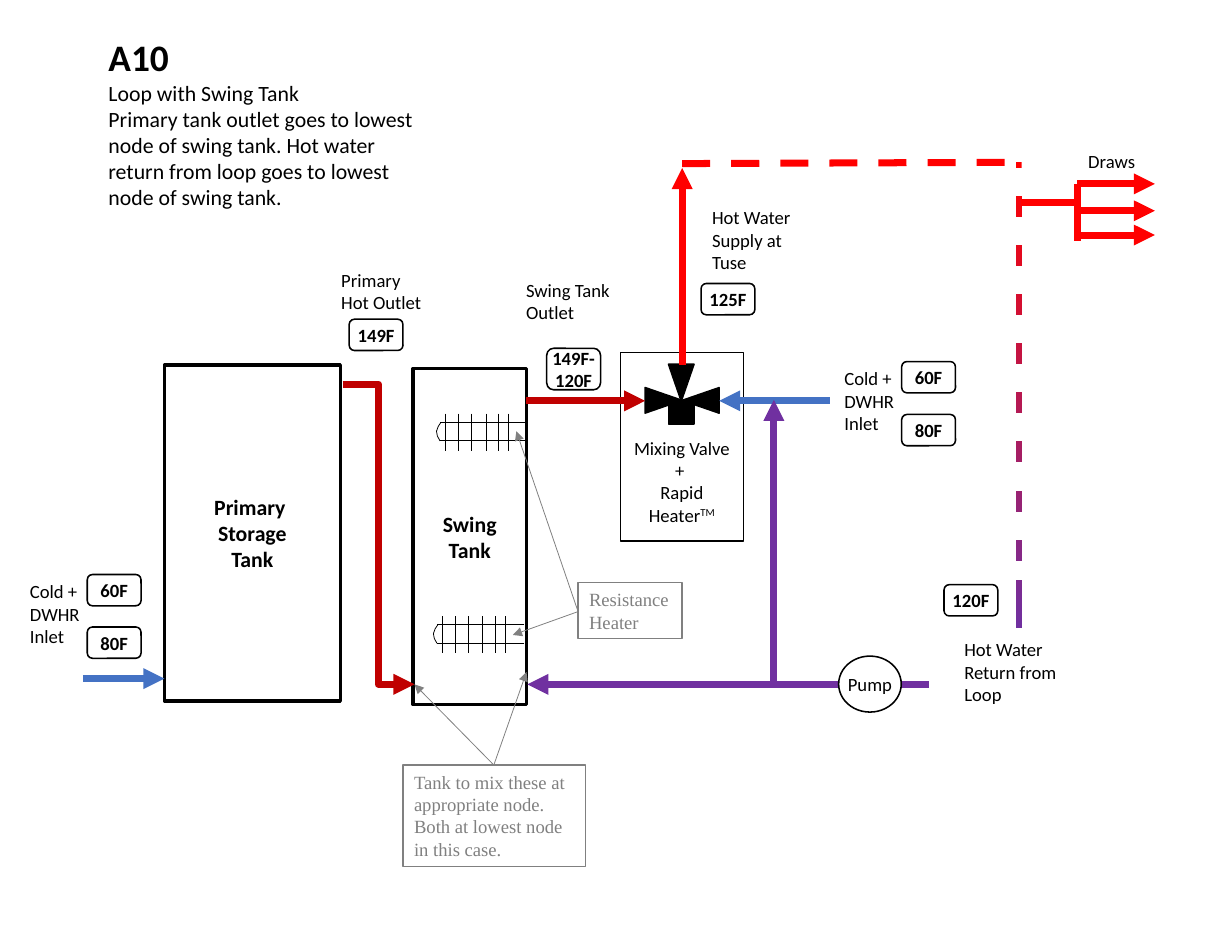
from lxml import etree
from pptx import Presentation
from pptx.dml.color import RGBColor
from pptx.enum.dml import MSO_LINE
from pptx.enum.shapes import MSO_CONNECTOR as LINK, MSO_SHAPE as SHAPE
from pptx.enum.text import MSO_ANCHOR as ANCHOR, MSO_AUTO_SIZE as AUTO, PP_ALIGN as ALIGN
from pptx.oxml.ns import qn
from pptx.util import Cm, Pt

BLACK = RGBColor(0x00, 0x00, 0x00)
WHITE = RGBColor(0xFF, 0xFF, 0xFF)
GRAY = RGBColor(0x80, 0x80, 0x80)
RED = RGBColor(0xFF, 0x00, 0x00)
DARK_RED = RGBColor(0xC0, 0x00, 0x00)
BLUE = RGBColor(0x44, 0x72, 0xC4)
PURPLE = RGBColor(0x70, 0x30, 0xA0)

presentation = Presentation()
presentation.slide_width, presentation.slide_height = Cm(27.94), Cm(21.59)
slide = presentation.slides.add_slide(presentation.slide_layouts[6])


def add_box(preset, box, lines=(), fill=None, line=BLACK, width=1, size=12, bold=False,
            font="Calibri", color=BLACK, center=True, inset=None):
    """Add a shape, or a text box when preset is None, with one paragraph per line."""
    lengths = [Cm(value) for value in box]
    if preset is None:
        shape = slide.shapes.add_textbox(*lengths)
    else:
        shape = slide.shapes.add_shape(preset, *lengths)
        shape.shadow.inherit = False
        if fill is None:
            shape.fill.background()
        else:
            shape.fill.solid()
            shape.fill.fore_color.rgb = fill
        if line is None:
            shape.line.fill.background()
        else:
            shape.line.color.rgb = line
            shape.line.width = Pt(width)
    frame = shape.text_frame
    frame.word_wrap = True
    frame.vertical_anchor = ANCHOR.MIDDLE if center else ANCHOR.TOP
    if not center:
        frame.auto_size = AUTO.SHAPE_TO_FIT_TEXT
    if inset is not None:
        frame.margin_left = frame.margin_right = Cm(inset)
        frame.margin_top = frame.margin_bottom = Cm(inset)
    for index, text in enumerate(lines):
        paragraph = frame.add_paragraph() if index else frame.paragraphs[0]
        paragraph.alignment = ALIGN.CENTER if center else ALIGN.LEFT
        run = paragraph.add_run()
        run.text = text
        run.font.name, run.font.size, run.font.bold = font, Pt(size), bold
        run.font.color.rgb = color
    return shape


def add_line(start, end, color, width=4.5, arrow=True, dash=False, kind=LINK.STRAIGHT):
    """Add a connector, with an arrowhead at its end by default."""
    connector = slide.shapes.add_connector(kind, *[Cm(value) for value in (*start, *end)])
    connector.line.color.rgb = color
    connector.line.width = Pt(width)
    if dash:
        connector.line.dash_style = MSO_LINE.DASH
    properties = connector.element.spPr
    if arrow:
        etree.SubElement(properties.find(qn("a:ln")), qn("a:tailEnd"), type="triangle")
    etree.SubElement(properties, qn("a:effectLst"))


# Tanks
add_box(SHAPE.RECTANGLE, (9.37, 8.36, 2.57, 7.62), ["Swing", "Tank"],
        fill=WHITE, width=2.25, size=14, bold=True)
add_box(SHAPE.RECTANGLE, (3.73, 8.28, 3.99, 7.62), ["Primary ", "Storage", "Tank"],
        fill=WHITE, width=2.25, size=14, bold=True)

# Mixing valve
for preset, left, top, height, rotation in (
    (SHAPE.ISOSCELES_TRIANGLE, 15.16, 8.26, 0.84, 180),
    (SHAPE.ISOSCELES_TRIANGLE, 15.6, 8.66, 0.84, 270),
    (SHAPE.ISOSCELES_TRIANGLE, 14.76, 8.66, 0.84, 90),
    (SHAPE.RECTANGLE, 15.16, 9.09, 0.53, 0),
):
    valve_part = add_box(preset, (left, top, 0.58, height), fill=BLACK)
    valve_part.rotation = rotation
mixing_box = add_box(SHAPE.RECTANGLE, (14.07, 8, 2.79, 4.27), ["Mixing Valve + ", "Rapid Heater"])
mixing_box.text_frame.margin_top = Cm(1.68)
trademark = mixing_box.text_frame.paragraphs[1].add_run()
trademark.text = "TM"
trademark.font.name, trademark.font.size = "Calibri", Pt(12)
trademark.font.color.rgb = BLACK
trademark.font._element.set("baseline", "30000")

# Pipes with flow direction
for start, end, color in (
    ((1.88, 15.39), (3.73, 15.39), BLUE),
    ((11.94, 9.09), (14.63, 9.09), DARK_RED),
    ((18.82, 9.09), (16.31, 9.09), BLUE),
    ((15.47, 8.28), (15.47, 3.81), RED),
    ((21.06, 15.52), (11.96, 15.52), PURPLE),
    ((17.55, 15.52), (17.55, 9.07), PURPLE),
):
    add_line(start, end, color)
add_line((7.77, 8.71), (9.4, 15.52), DARK_RED, kind=LINK.ELBOW)

# Distribution loop, cooling from red to purple
add_line((15.47, 3.71), (23.09, 3.68), RED, arrow=False, dash=True)
loop = add_box(SHAPE.RECTANGLE, (23.04, 3.68, 0.13, 10.57), line=None)
loop.fill.gradient()
loop.fill.gradient_angle = 270
for stop, color in zip(loop.fill.gradient_stops, (RED, PURPLE)):
    stop.color.rgb = color
add_line((23.11, 3.81), (23.11, 13.16), WHITE, arrow=False, dash=True)

# Draws
for y in (4.17, 4.78, 5.33):
    add_line((24.43, y), (26.19, y), RED)
add_line((24.43, 4.17), (24.43, 5.46), RED, arrow=False)
add_line((24.43, 4.6), (23.16, 4.6), RED, arrow=False)

# Title
title = add_box(None, (2.21, 0.66, 7.54, 4.27), [
    "A10", "Loop with Swing Tank",
    "Primary tank outlet goes to lowest node of swing tank. "
    "Hot water return from loop goes to lowest node of swing tank.",
], size=14, center=False)
heading = title.text_frame.paragraphs[0].runs[0]
heading.font.size, heading.font.bold = Pt(24), True

# Pipe labels
for box, lines in (
    ((7.49, 5.97, 2.46, 1.27), ["Primary ", "Hot Outlet"]),
    ((11.68, 6.2, 2.46, 1.27), ["Swing Tank ", "Outlet"]),
    ((18.9, 8.2, 2.36, 1.8), ["Cold + DWHR Inlet"]),
    ((0.43, 13.03, 2.36, 1.8), ["Cold + DWHR Inlet"]),
    ((15.9, 4.55, 2.31, 1.8), ["Hot Water Supply at Tuse"]),
    ((21.62, 14.35, 2.95, 1.8), ["Hot Water Return from Loop"]),
    ((24.43, 3.28, 2.31, 0.76), ["Draws"]),
):
    add_box(None, box, lines, center=False)

# Pump and temperature badges
add_box(SHAPE.OVAL, (19.02, 14.88, 1.42, 1.27), ["Pump"], fill=WHITE, inset=0)
for left, top, height, temperature in (
    (7.92, 7.24, 0.71, "149F"),
    (15.9, 6.43, 0.71, "125F"),
    (20.45, 8.2, 0.71, "60F"),
    (20.45, 9.4, 0.71, "80F"),
    (21.41, 13.26, 0.71, "120F"),
    (1.98, 13.03, 0.71, "60F"),
    (1.98, 14.22, 0.71, "80F"),
    (12.4, 7.9, 0.94, "149F-120F"),
):
    add_box(SHAPE.ROUNDED_RECTANGLE, (left, top, 1.22, height), [temperature],
            fill=WHITE, bold=True, inset=0)

# Resistance heater coils
for left, top in ((9.91, 14.17), (9.98, 9.58)):
    for y in (top, top + 0.41):
        add_line((left + 1.98, y), (left, y), BLACK, 0.5, arrow=False)
    for offset in (0.13, 0.41, 0.71, 1.04, 1.32, 1.55):
        add_line((left + offset, top - 0.2), (left + offset, top + 0.65), BLACK, 0.5, arrow=False)
    builder = slide.shapes.build_freeform(Cm(left + 0.02), Cm(top))
    builder.add_line_segments(
        [(Cm(left + x), Cm(top + y)) for x, y in
         ((-0.04, 0.09), (-0.08, 0.2), (-0.06, 0.31), (0, 0.42))], close=False)
    coil_end = builder.convert_to_shape()
    coil_end.shadow.inherit = False
    coil_end.fill.background()
    coil_end.line.color.rgb = BLACK
    coil_end.line.width = Pt(0.5)

# Gray notes with pointers
for box, lines, start, targets in (
    ((9.14, 17.35, 4.14, 2.31),
     ["Tank to mix these at appropriate node.", "Both at lowest node in this case."],
     (11.2, 17.35), ((9.4, 15.52), (11.94, 15.24))),
    ((13.11, 13.21, 2.36, 1.27), ["Resistance Heater"],
     (13.11, 13.87), ((11.63, 14.4), (11.71, 9.78))),
):
    add_box(SHAPE.RECTANGLE, box, lines, line=GRAY, width=0.75,
            font="Times New Roman", color=GRAY, center=False)
    for target in targets:
        add_line(start, target, GRAY, 0.5)

presentation.save("out.pptx")
